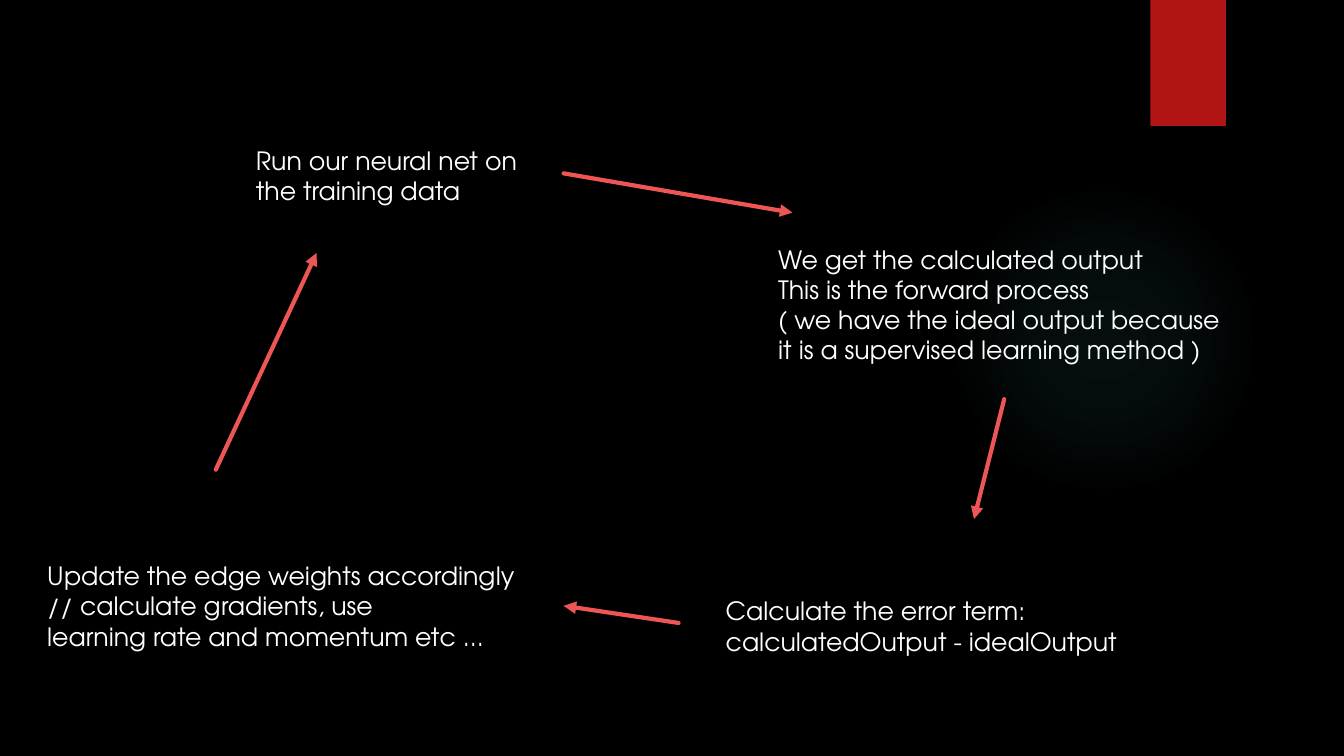
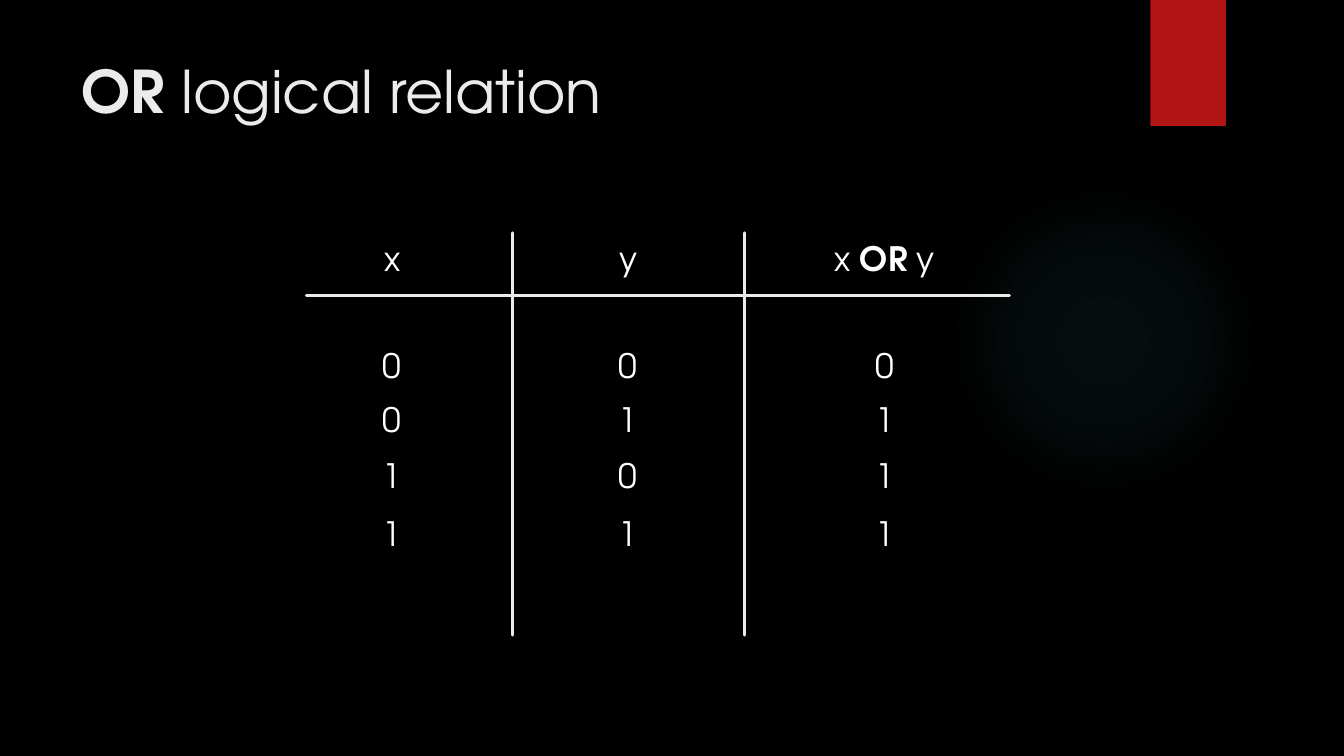
from dataclasses import dataclass

from pptx import Presentation
from pptx.dml.color import RGBColor
from pptx.enum.shapes import MSO_CONNECTOR, MSO_SHAPE
from pptx.enum.text import MSO_ANCHOR, PP_ALIGN
from pptx.oxml import parse_xml
from pptx.oxml.ns import nsdecls
from pptx.util import Inches, Pt

STRAIGHT = MSO_CONNECTOR.STRAIGHT
OVAL, RECT = MSO_SHAPE.OVAL, MSO_SHAPE.RECTANGLE
TOP, BOTTOM = MSO_ANCHOR.TOP, MSO_ANCHOR.BOTTOM
LEFT, CENTER = PP_ALIGN.LEFT, PP_ALIGN.CENTER


@dataclass(frozen=True)
class Theme:
    font: str = "TeX Gyre Adventor"
    back: str = "000000"
    text: str = "FFFFFF"
    title: str = "EBEBEB"
    rule: str = "EBEBEB"
    flag: str = "B01513"
    glow: str = "50B9C1"
    arrow: str = "ED5654"
    title_size: int = 42
    cell_size: int = 24
    step_size: int = 18
    arrow_width: float = 3
    rule_width: float = 2.25


THEME = Theme()

# left, top, width, height, lines
STEPS = [
    (2.44, 1.39, 2.83, 0.71, ["Run our neural net on", "the training data"]),
    (7.62, 2.37, 4.64, 1.31, [
        "We get the calculated output",
        "This is the forward process",
        "( we have the ideal output because",
        "it is a supervised learning method )",
    ]),
    (7.1, 5.86, 4.13, 0.71, [
        "Calculate the error term:",
        "calculatedOutput - idealOutput",
    ]),
    (0.37, 5.51, 4.9, 1.01, [
        "Update the edge weights accordingly",
        "// calculate gradients, use",
        "learning rate and momentum etc ...",
    ]),
]

# from x, from y, to x, to y
ARROWS = [
    (5.59, 1.72, 7.86, 2.11),
    (9.96, 3.96, 9.66, 5.15),
    (6.73, 6.18, 5.59, 6.01),
    (2.14, 4.66, 3.14, 2.51),
]

TRUTH = [
    ("x", "y", "x *OR* y"),
    *((str(x), str(y), str(x | y)) for x in (0, 1) for y in (0, 1)),
]
WIDTHS = (2.04, 2.3, 2.63)
HEIGHTS = (0.62, 0.94, 0.53, 0.56, 1.34)
INSETS = ((0, 0.34), (0, 0), (0.16, 0))  # left and right, by column
DROPS = {0: 0.14, len(TRUTH) - 1: 0.22}  # top margin of rows set from the top


def color(code):
    return RGBColor.from_string(code)


def write(para, text, size, code, align=LEFT):
    """Fill a paragraph; words between asterisks are bold."""
    para.alignment = align
    font = para.font
    font.name, font.size = THEME.font, Pt(size)
    font.color.rgb = color(code)
    for index, part in enumerate(text.split("*")):
        if part:
            run = para.add_run()
            run.text = part
            if index % 2:
                run.font.bold = True


def add_text(slide, box, lines, size, code, wrap=False):
    frame = slide.shapes.add_textbox(*map(Inches, box)).text_frame
    frame.word_wrap = wrap
    for index, line in enumerate(lines):
        para = frame.add_paragraph() if index else frame.paragraphs[0]
        write(para, line, size, code)


def add_plain(slide, kind, box):
    shape = slide.shapes.add_shape(kind, *map(Inches, box))
    shape.shadow.inherit = False
    shape.line.fill.background()
    return shape


def add_glow(slide):
    """Draw a faint round light that fades to nothing."""
    shape = add_plain(slide, OVAL, (9.41, 1.83, 3.08, 3.08))
    shape.fill.background()
    stops = "".join(
        f'<a:gs pos="{pos * 1000}"><a:srgbClr val="{THEME.glow}">'
        f'<a:alpha val="{alpha * 1000}"/></a:srgbClr></a:gs>'
        for pos, alpha in ((0, 7), (36, 6), (69, 0))
    )
    fade = parse_xml(
        f'<a:gradFill {nsdecls("a")}><a:gsLst>{stops}</a:gsLst>'
        '<a:path path="circle"><a:fillToRect l="50000" t="50000" '
        'r="50000" b="50000"/></a:path></a:gradFill>'
    )
    props = shape._element.spPr
    props.replace(props.find("{*}noFill"), fade)


def add_flag(slide):
    shape = add_plain(slide, RECT, (11.41, 0, 0.75, 1.25))
    shape.fill.solid()
    shape.fill.fore_color.rgb = color(THEME.flag)


def add_line(slide, ends, code, width):
    """Draw a straight line with round ends and return its a:ln element."""
    link = slide.shapes.add_connector(STRAIGHT, *map(Inches, ends))
    link.line.color.rgb = color(code)
    link.line.width = Pt(width)
    link._element.spPr.append(parse_xml(f'<a:effectLst {nsdecls("a")}/>'))
    line = link.line._get_or_add_ln()
    line.set("cap", "rnd")
    return line


def add_arrow(slide, ends):
    line = add_line(slide, ends, THEME.arrow, THEME.arrow_width)
    line.append(parse_xml(f'<a:tailEnd {nsdecls("a")} type="triangle"/>'))


def clear_cell(cell):
    """Remove the fill and all borders."""
    props = cell._tc.get_or_add_tcPr()
    for side in "LRTB":
        props.append(parse_xml(
            f'<a:ln{side} {nsdecls("a")}><a:noFill/></a:ln{side}>'))
    cell.fill.background()


def add_truth(slide, left, top):
    table = slide.shapes.add_table(
        len(TRUTH), len(WIDTHS), Inches(left), Inches(top),
        Inches(sum(WIDTHS)), Inches(sum(HEIGHTS))).table
    table.first_row = table.horz_banding = False
    for col, width in zip(table.columns, WIDTHS):
        col.width = Inches(width)
    for row, height in zip(table.rows, HEIGHTS):
        row.height = Inches(height)
    for r, values in enumerate(TRUTH):
        for c, value in enumerate(values):
            cell = table.cell(r, c)
            clear_cell(cell)
            cell.margin_left, cell.margin_right = map(Inches, INSETS[c])
            cell.margin_top = Inches(DROPS.get(r, 0.05))
            cell.margin_bottom = Inches(0.05 if r else 0)
            cell.vertical_anchor = TOP if r in DROPS else BOTTOM
            write(cell.text_frame.paragraphs[0], value,
                  THEME.cell_size, THEME.text, CENTER)


def add_rules(slide, left, top):
    """Rule the truth table below its head and between its columns."""
    head = top + HEIGHTS[0]
    ends = [(left, head, left + sum(WIDTHS), head)]
    for count in range(1, len(WIDTHS)):
        x = left + sum(WIDTHS[:count])
        ends.append((x, top, x, top + sum(HEIGHTS)))
    for rule in ends:
        add_line(slide, rule, THEME.rule, THEME.rule_width)


def add_title(slide, text):
    add_text(slide, (0.71, 0.49, 10.29, 1.53), [text],
             THEME.title_size, THEME.title, wrap=True)


def add_slide(deck):
    slide = deck.slides.add_slide(deck.slide_layouts[6])
    add_glow(slide)
    add_flag(slide)
    return slide


def add_cycle(deck):
    slide = add_slide(deck)
    for *box, lines in STEPS:
        add_text(slide, box, lines, THEME.step_size, THEME.text)
    for ends in ARROWS:
        add_arrow(slide, ends)


def add_logic(deck):
    slide = add_slide(deck)
    add_title(slide, "*OR* logical relation")
    spot = 3.04, 2.31
    add_truth(slide, *spot)
    add_rules(slide, *spot)


def main():
    deck = Presentation()
    deck.slide_width, deck.slide_height = Inches(13.33), Inches(7.5)
    back = deck.slide_master.background.fill
    back.solid()
    back.fore_color.rgb = color(THEME.back)
    add_cycle(deck)
    add_logic(deck)
    deck.save("out.pptx")


if __name__ == "__main__":
    main()
